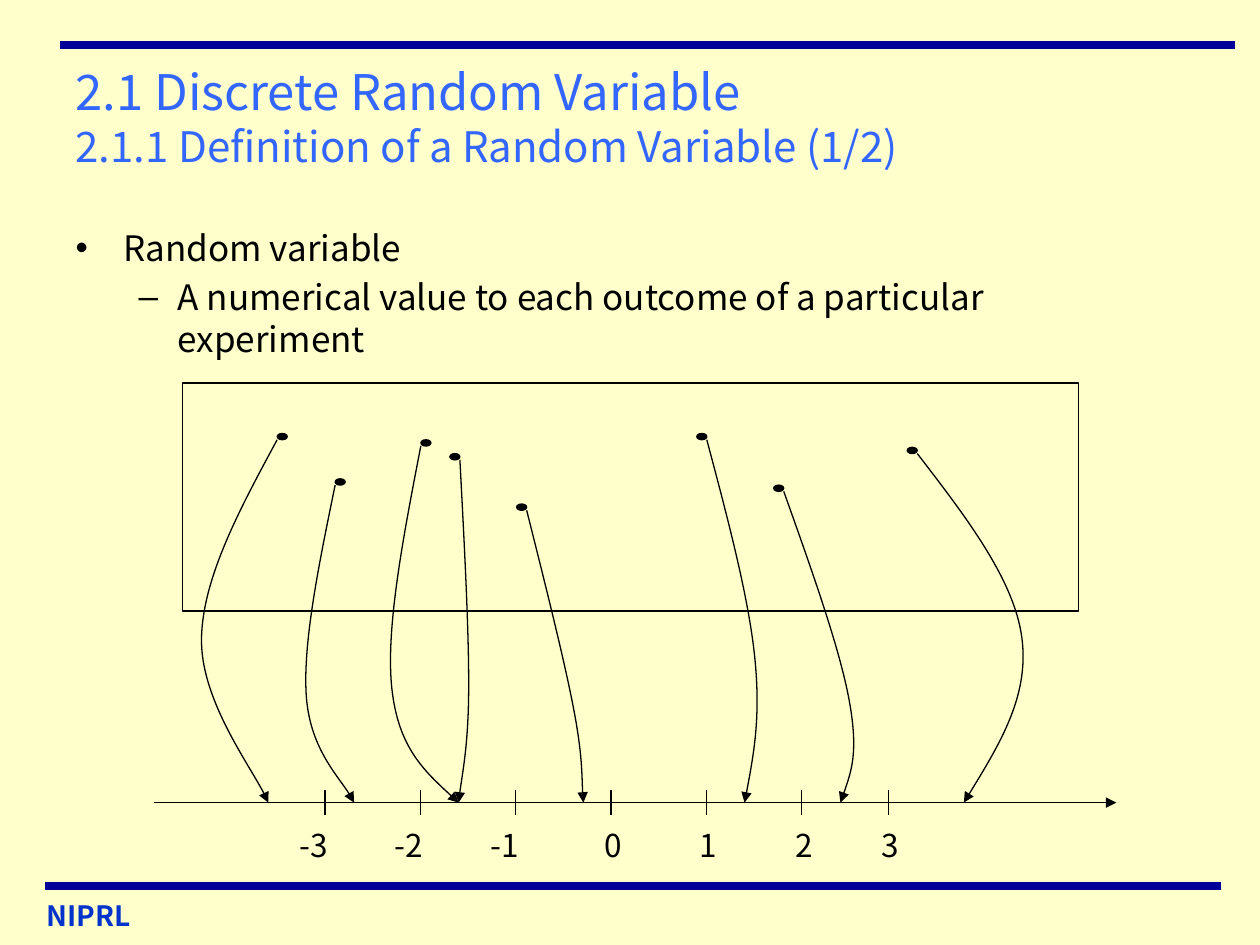
"""Build a slide that maps outcomes of an experiment to values on a number line."""
from collections import namedtuple
from dataclasses import dataclass

from lxml.etree import SubElement
from pptx import Presentation
from pptx.dml.color import RGBColor
from pptx.enum.shapes import MSO_CONNECTOR, MSO_SHAPE
from pptx.enum.text import MSO_ANCHOR, MSO_AUTO_SIZE, PP_ALIGN
from pptx.oxml.ns import qn
from pptx.util import Inches, Pt


@dataclass(frozen=True)
class Theme:
    font: str = "Noto Sans CJK KR"
    background: RGBColor = RGBColor(0xFF, 0xFF, 0xCC)
    rule: RGBColor = RGBColor(0x00, 0x00, 0x99)
    footer: RGBColor = RGBColor(0x00, 0x33, 0xCC)
    title: RGBColor = RGBColor(0x33, 0x66, 0xFF)
    ink: RGBColor = RGBColor(0x00, 0x00, 0x00)
    title_size: Pt = Pt(28)
    subtitle_size: Pt = Pt(24)
    body_size: Pt = Pt(20)
    label_size: Pt = Pt(18)
    footer_size: Pt = Pt(16)
    thin: Pt = Pt(0.75)
    thick: Pt = Pt(4.5)


theme = Theme()
deck = Presentation()
deck.slide_width, deck.slide_height = Inches(10), Inches(7.5)
page = deck.slides.add_slide(deck.slide_layouts[1])
page.background.fill.solid()
page.background.fill.fore_color.rgb = theme.background


def add_line(start, end, color=theme.ink, width=theme.thin):
    line = page.shapes.add_connector(MSO_CONNECTOR.STRAIGHT, *map(Inches, start + end))
    line.line.color.rgb = color
    line.line.width = width
    SubElement(line.element.spPr, qn("a:effectLst"))
    return line


def add_label(text, left, top, width, size, color, bold=False):
    box = page.shapes.add_textbox(*map(Inches, (left, top, width, 0.4)))
    box.text_frame.word_wrap = True
    box.text_frame.text = text
    font = box.text_frame.paragraphs[0].runs[0].font
    font.name, font.size, font.bold = theme.font, size, bold
    font.color.rgb = color


add_line((9.8, 0.36), (0.48, 0.36), theme.rule, theme.thick)
add_line((0.36, 7.03), (9.69, 7.03), theme.rule, theme.thick)
add_label("NIPRL", 0.27, 7.08, 1.21, theme.footer_size, theme.footer, bold=True)

title = page.shapes.title
title.left, title.top, title.width, title.height = map(Inches, (0.5, 0.3, 9, 1.25))
frame = title.text_frame
frame.text = "2.1 Discrete Random Variable\v2.1.1 Definition of a Random Variable (1/2)"
frame.auto_size = MSO_AUTO_SIZE.NONE
frame.vertical_anchor = MSO_ANCHOR.MIDDLE
heading = frame.paragraphs[0]
heading.alignment = PP_ALIGN.LEFT
for span, size in zip(heading.runs, (theme.title_size, theme.subtitle_size)):
    span.font.name, span.font.size = theme.font, size
    span.font.color.rgb = theme.title
line_break = title.element.find(".//" + qn("a:br"))
SubElement(line_break, qn("a:rPr"), sz=str(theme.title_size.centipoints))

body = page.placeholders[1]
body.left, body.top, body.width, body.height = map(Inches, (0.5, 1.75, 8.75, 4.95))
frame = body.text_frame
frame.text = "Random variable\nA numerical value to each outcome of a particular experiment"
frame.auto_size = MSO_AUTO_SIZE.NONE
bullets = [("•", 0.38, -0.38), ("–", 0.81, -0.31)]
for level, (para, (mark, margin, indent)) in enumerate(zip(frame.paragraphs, bullets)):
    para.level = level
    para.space_before = theme.body_size * level // 5
    properties = para._p.get_or_add_pPr()
    properties.set("marL", str(Inches(margin)))
    properties.set("indent", str(Inches(indent)))
    SubElement(properties, qn("a:buChar"), char=mark)
    font = para.runs[0].font
    font.name, font.size = theme.font, theme.body_size
    font.color.rgb = theme.ink

sample_space = page.shapes.add_shape(
    MSO_SHAPE.RECTANGLE, *map(Inches, (1.45, 3.04, 7.11, 1.81)))

axis_y = 6.37
tick_reach = 0.1
axis = add_line((1.22, axis_y), (8.86, axis_y))
for value in range(-3, 4):
    tick_x = 7.05 if value == 3 else 4.85 + 0.757 * value
    add_line((tick_x, axis_y - tick_reach), (tick_x, axis_y + tick_reach))
    offset, width = (0.3, 0.53) if value < 0 else (0.15, 0.3)
    add_label(str(value), tick_x - offset, 6.51, width, theme.label_size, theme.ink)

Outcome = namedtuple("Outcome", "left top bend landing_x late_turn")
outcomes = [
    Outcome(2.2, 3.44, (1.6, 5.06), 2.13, True),
    Outcome(2.66, 3.8, (2.43, 5.51), 2.81, True),
    Outcome(3.34, 3.49, (3.11, 5.46), 3.64, False),
    Outcome(3.57, 3.6, (3.72, 5.46), 3.64, True),
    Outcome(4.1, 4, (4.55, 5.61), 4.63, True),
    Outcome(5.53, 3.44, (5.99, 5.21), 5.91, False),
    Outcome(6.14, 3.85, (6.74, 5.56), 6.67, False),
    Outcome(7.2, 3.55, (8.11, 5.06), 7.65, False),
]
dot_width, dot_height = 0.08, 0.05
dots, curves = [], []
for outcome in outcomes:
    dots.append(page.shapes.add_shape(
        MSO_SHAPE.OVAL, *map(Inches, (outcome.left, outcome.top, dot_width, dot_height))))

    bends_right = outcome.bend[0] > outcome.left
    start = (outcome.left + dot_width * bends_right, outcome.top + dot_height)
    landing = (outcome.landing_x, axis_y)
    controls = []
    for begin, middle, end in zip(start, outcome.bend, landing):
        tangent = (end - begin) / 6
        before, after = middle - tangent, middle + tangent
        leave = (begin + before) / 2
        arrive = end - (end - middle) / 6 if outcome.late_turn else (after + end) / 2
        controls.append((leave, before, middle, after, arrive, end))

    builder = page.shapes.build_freeform(*map(Inches, start))
    builder.add_line_segments(
        [(Inches(x), Inches(y)) for x, y in zip(*controls)], close=False)
    curve = builder.convert_to_shape()
    outline = curve.element.find(".//" + qn("a:path"))
    segments = outline.findall(qn("a:lnTo"))
    for half in (segments[:3], segments[3:]):
        bezier = SubElement(outline, qn("a:cubicBezTo"))
        for segment in half:
            bezier.append(segment[0])
            outline.remove(segment)
    curves.append(curve)

for shape in [sample_space, *dots, *curves]:
    shape.shadow.inherit = False
    shape.fill.background()
    shape.line.color.rgb = theme.ink
    shape.line.width = theme.thin
for dot in dots:
    dot.fill.solid()
    dot.fill.fore_color.rgb = theme.ink
for arrow in [axis, *curves]:
    SubElement(arrow.get_or_add_ln(), qn("a:tailEnd"), type="triangle")

deck.save("out.pptx")
